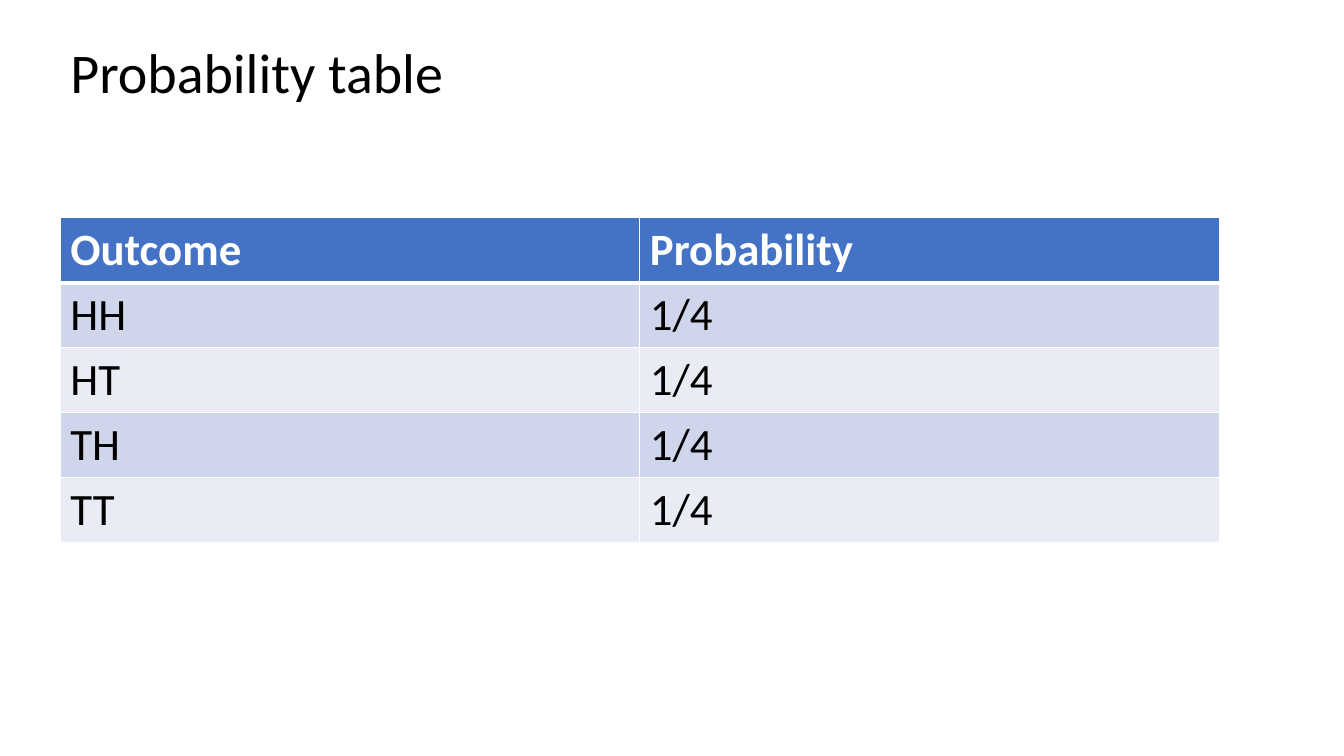
"""Build a slide with the probability table of two coin tosses."""
from dataclasses import dataclass

from lxml.etree import SubElement
from pptx import Presentation
from pptx.dml.color import RGBColor
from pptx.enum.text import MSO_ANCHOR, MSO_AUTO_SIZE, PP_ALIGN
from pptx.oxml.ns import qn
from pptx.slide import Slide
from pptx.table import _Cell as Cell
from pptx.util import Cm, Pt

BLACK = RGBColor(0x00, 0x00, 0x00)
WHITE = RGBColor(0xFF, 0xFF, 0xFF)
HEADER_BLUE = RGBColor(0x44, 0x72, 0xC4)
BANDS = (RGBColor(0xCF, 0xD5, 0xEA), RGBColor(0xE9, 0xEB, 0xF5))

LEFT, WIDTH = Cm(1.52), Cm(29.21)
ROW_HEIGHT = Cm(1.63)
THIN, THICK = Pt(1), Pt(3)


@dataclass(frozen=True)
class TableRow:
    outcome: str
    probability: str
    fill: RGBColor
    color: RGBColor = BLACK
    bold: bool = False
    top: int = THIN
    bottom: int = THIN


OUTCOMES = ("HH", "HT", "TH", "TT")
HEADER = TableRow("Outcome", "Probability", HEADER_BLUE, WHITE, True, bottom=THICK)
ROWS = [HEADER] + [
    TableRow(outcome, "1/4", BANDS[index % 2], top=THIN if index else THICK)
    for index, outcome in enumerate(OUTCOMES)
]


def write(para, text: str, size: int, color: RGBColor, bold: bool = False) -> None:
    span = para.add_run()
    span.text = text
    formats = {"name": "Calibri", "size": Pt(size), "bold": bold}
    for name, value in formats.items():
        setattr(span.font, name, value)
    span.font.color.rgb = color


def add_borders(cell: Cell, row: TableRow) -> None:
    properties = cell._tc.get_or_add_tcPr()
    widths = {"a:lnL": THIN, "a:lnR": THIN, "a:lnT": row.top, "a:lnB": row.bottom}
    for tag, width in widths.items():
        line = SubElement(properties, qn(tag), w=str(width))
        fill = SubElement(line, qn("a:solidFill"))
        SubElement(fill, qn("a:srgbClr"), val=str(WHITE))


def add_title(page: Slide, text: str) -> None:
    title = page.shapes.title
    place = {"left": LEFT, "top": Cm(1.02), "width": WIDTH, "height": Cm(1.75)}
    for name, value in place.items():
        setattr(title, name, value)
    box = title.text_frame
    formats = {
        "word_wrap": True,
        "auto_size": MSO_AUTO_SIZE.NONE,
        "vertical_anchor": MSO_ANCHOR.MIDDLE,
    }
    for name, value in formats.items():
        setattr(box, name, value)
    para = box.paragraphs[0]
    para.alignment = PP_ALIGN.LEFT
    para.line_spacing = 0.9
    write(para, text, 40, BLACK)


def add_probability_table(page: Slide, rows: list[TableRow]) -> None:
    table = page.shapes.add_table(
        len(rows), 2, LEFT, Cm(5.49), WIDTH, ROW_HEIGHT * len(rows)
    ).table
    for table_row, row in zip(table.rows, rows):
        table_row.height = ROW_HEIGHT
        for cell, text in zip(table_row.cells, (row.outcome, row.probability)):
            add_borders(cell, row)
            cell.fill.solid()
            cell.fill.fore_color.rgb = row.fill
            write(cell.text_frame.paragraphs[0], text, 32, row.color, row.bold)


def main() -> None:
    deck = Presentation()
    deck.slide_width, deck.slide_height = Cm(33.87), Cm(19.05)
    page = deck.slides.add_slide(deck.slide_layouts.get_by_name("Title Only"))
    add_title(page, "Probability table")
    add_probability_table(page, ROWS)
    deck.save("out.pptx")


if __name__ == "__main__":
    main()
